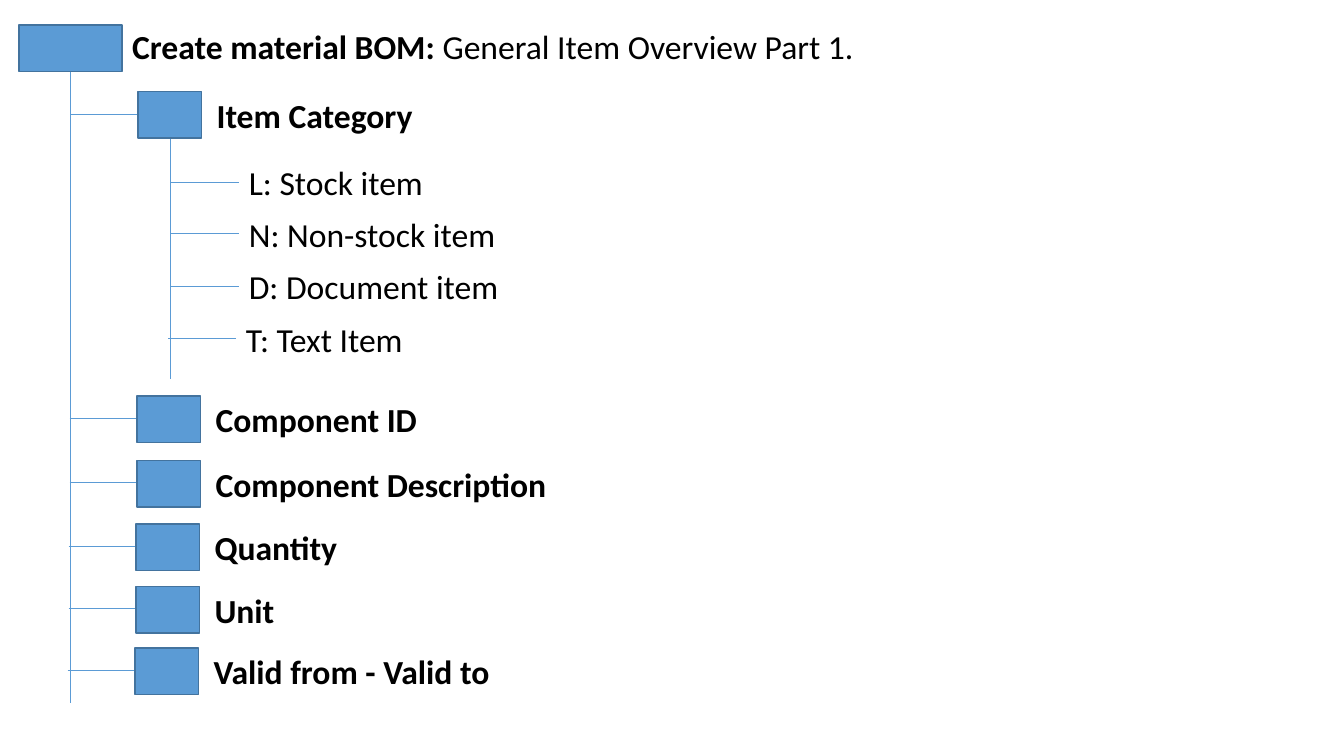
from lxml.etree import SubElement
from pptx import Presentation
from pptx.dml.color import RGBColor as RGB
from pptx.enum.shapes import MSO_CONNECTOR as LINE, MSO_SHAPE as SHAPE
from pptx.enum.text import MSO_ANCHOR as ANCHOR, MSO_AUTO_SIZE as FIT, PP_ALIGN as ALIGN
from pptx.oxml.ns import qn
from pptx.util import Inches, Pt

TITLE = [("Create material BOM: ", True), ("General Item Overview Part 1.", False)]
# label, left and top of its box, width of the label
FIELDS = [
    ("Item Category", 1.37, 0.91, 2.17),
    ("Component ID", 1.36, 3.93, 2.22),
    ("Component Description", 1.36, 4.57, 3.52),
    ("Quantity", 1.35, 5.2, 1.43),
    ("Unit", 1.35, 5.82, 0.8),
    ("Valid from - Valid to", 1.34, 6.43, 2.95),
]
# label, left and height of its branch, width of the label
KINDS = [
    ("L: Stock item", 1.7, 1.81, 1.94),
    ("N: Non-stock item", 1.7, 2.32, 2.67),
    ("D: Document item", 1.7, 2.84, 2.7),
    ("T: Text Item", 1.67, 3.36, 1.77),
]
COLORS = {"fill": "5B9BD5", "edge": "43739E", "text": "000000"}
FONT, SIZE = "Calibri", 24
BOX_W, BOX_H, TEXT_H = 0.63, 0.46, 0.5
BRANCH = 0.67

prs = Presentation()
prs.slide_width, prs.slide_height = Inches(13.33), Inches(7.5)
slide = prs.slides.add_slide(prs.slide_layouts[5])
shapes = slide.shapes


def color(name):
    return RGB.from_string(COLORS[name])


def write(shape, runs):
    frame = shape.text_frame
    frame.word_wrap = False
    frame.auto_size = FIT.SHAPE_TO_FIT_TEXT
    frame.vertical_anchor = ANCHOR.TOP
    par = frame.paragraphs[0]
    par.alignment = ALIGN.LEFT
    for text, bold in runs:
        run = par.add_run()
        run.text = text
        font = run.font
        font.name, font.size, font.bold = FONT, Pt(SIZE), bold
        font.color.rgb = color("text")


def label(text, x, y, w, bold):
    area = shapes.add_textbox(Inches(x), Inches(y), Inches(w), Inches(TEXT_H))
    write(area, [(text, bold)])


def box(x, y, w):
    rect = shapes.add_shape(SHAPE.RECTANGLE, Inches(x), Inches(y), Inches(w), Inches(BOX_H))
    rect.shadow.inherit = False
    rect.fill.solid()
    rect.fill.fore_color.rgb = color("fill")
    rect.line.color.rgb = color("edge")
    rect.line.width = Pt(1)


def line(x1, y1, x2, y2):
    link = shapes.add_connector(LINE.STRAIGHT, Inches(x1), Inches(y1), Inches(x2), Inches(y2))
    link.line.color.rgb = color("fill")
    link.line.width = Pt(0.5)
    SubElement(link._element.spPr, qn("a:effectLst"))


title = shapes.title
title.left, title.top = Inches(1.21), Inches(0.21)
title.width, title.height = Inches(7.53), Inches(TEXT_H)
write(title, TITLE)

box(0.19, 0.25, 1.02)
line(0.7, 0.71, 0.7, 6.97)
line(1.69, 1.35, 1.69, 3.76)

for text, x, y, w in FIELDS:
    line(x - BRANCH, y + 0.22, x, y + 0.22)
    label(text, x + 0.68, y - 0.02, w, True)
    box(x, y, BOX_W)

for text, x, y, w in KINDS:
    line(x, y, x + BRANCH, y)
    label(text, x + BRANCH, y - 0.25, w, False)

prs.save("out.pptx")
